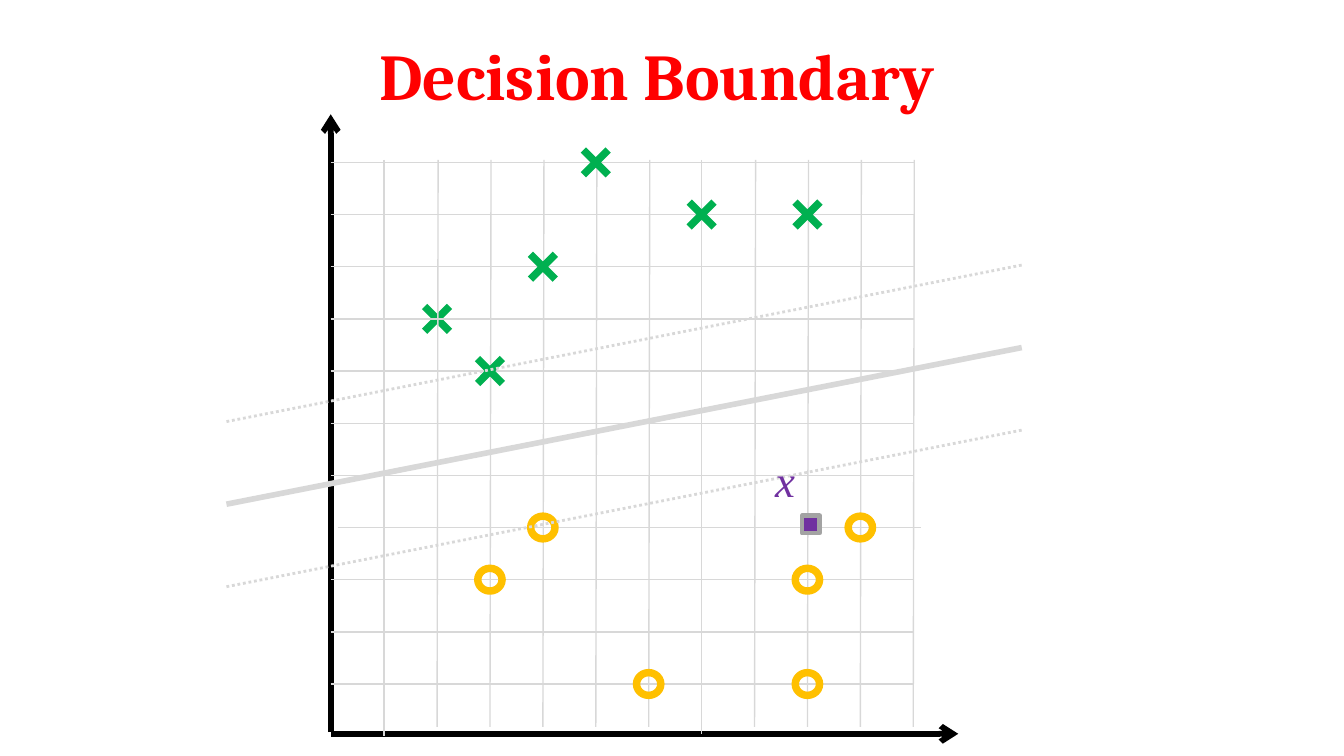
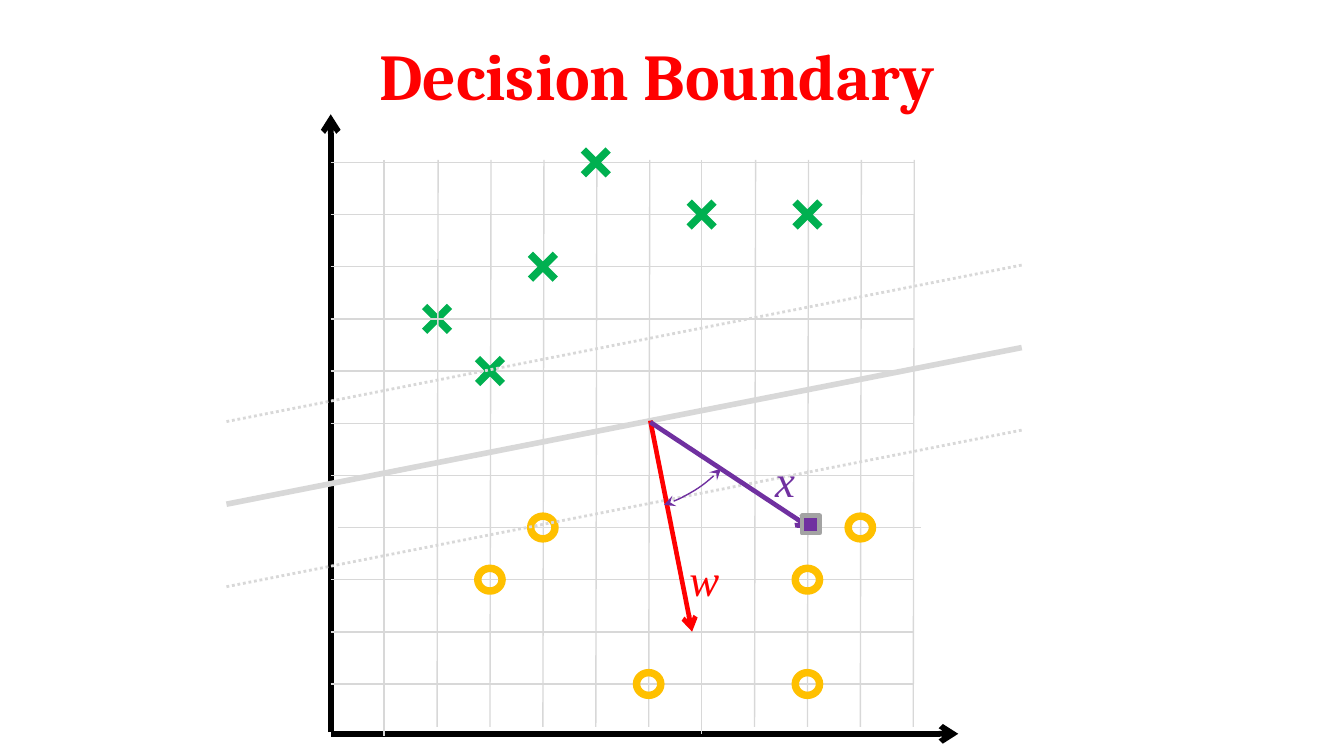
from dataclasses import dataclass

from lxml import etree
from pptx import Presentation
from pptx.dml.color import RGBColor
from pptx.enum.dml import MSO_LINE
from pptx.enum.shapes import MSO_CONNECTOR, MSO_SHAPE
from pptx.enum.text import MSO_ANCHOR, MSO_AUTO_SIZE, PP_ALIGN
from pptx.oxml.ns import qn
from pptx.util import Cm, Pt

STRAIGHT = MSO_CONNECTOR.STRAIGHT
ELLIPSE, RECTANGLE, ARC = MSO_SHAPE.OVAL, MSO_SHAPE.RECTANGLE, MSO_SHAPE.ARC
DOTTED = MSO_LINE.ROUND_DOT
MIDDLE, TOP = MSO_ANCHOR.MIDDLE, MSO_ANCHOR.TOP
GROW, FIXED = MSO_AUTO_SIZE.SHAPE_TO_FIT_TEXT, MSO_AUTO_SIZE.NONE
LEFT, CENTER = PP_ALIGN.LEFT, PP_ALIGN.CENTER


@dataclass(frozen=True)
class Theme:
    title: str = "FF0000"
    axis: str = "000000"
    guide: str = "D8D8D8"
    positive: str = "00B050"
    negative: str = "FFC000"
    sample: str = "7030A0"
    sample_edge: str = "A3A3A3"
    weight: str = "FF0000"
    title_font: str = "Cambria"
    symbol_font: str = "Times New Roman"
    title_size: float = 35
    symbol_size: float = 24
    hairline: float = 0.75
    margin_line: float = 1.5
    vector_line: float = 2.5
    heavy_line: float = 3
    marker_line: float = 4


THEME = Theme()
ORIGIN_X, FIRST_ROW_Y, TOP_ROW_Y = 6.26, 12.93, 3.07
COLUMN = 1.0
ROW = (FIRST_ROW_Y - TOP_ROW_Y) / 10
GRID_SIZE = 11
GRID_RIGHT = 17.28
GRID_BOTTOM = 13.74
LONG_COLUMNS = {1: 13.92, 7: 13.87}
SHIFTED_ROW = 4
HIDDEN_CROSS = (2, 8)
CROSSES = [(3, 7), (4, 9), (5, 11), (7, 10), (9, 10)]
CIRCLES = [(3, 3), (4, 4), (6, 1), (9, 1), (9, 3), (10, 4)]


def grid_point(column, row):
    return ORIGIN_X + column * COLUMN, FIRST_ROW_Y - (row - 1) * ROW


def style_line(line, color, width, dash=None, head=None, tail=None):
    line.color.rgb = RGBColor.from_string(color)
    line.width = Pt(width)
    if dash:
        line.dash_style = dash
    for tag, kind in (("a:headEnd", head), ("a:tailEnd", tail)):
        if kind:
            etree.SubElement(line._get_or_add_ln(), qn(tag), type=kind)


def add_line(shapes, start, end, color, width, **ends):
    connector = shapes.add_connector(STRAIGHT, *map(Cm, (*start, *end)))
    style_line(connector.line, color, width, **ends)
    etree.SubElement(connector._element.spPr, qn("a:effectLst"))


def add_outline(shapes, kind, bounds, color, width, fill=None, **ends):
    shape = shapes.add_shape(kind, *map(Cm, bounds))
    shape.shadow.inherit = False
    if fill:
        shape.fill.solid()
        shape.fill.fore_color.rgb = RGBColor.from_string(fill)
    else:
        shape.fill.background()
    style_line(shape.line, color, width, **ends)
    return shape


def add_text(shapes, text, bounds, font, size, color, bold=False, italic=False,
             align=LEFT, anchor=TOP, fit=FIXED):
    box = shapes.add_textbox(*map(Cm, bounds))
    frame = box.text_frame
    frame.word_wrap = True
    frame.auto_size = fit
    frame.vertical_anchor = anchor
    para = frame.paragraphs[0]
    para.alignment = align
    span = para.add_run()
    span.text = text
    span.font.name = font
    span.font.size = Pt(size)
    span.font.bold = bold
    span.font.italic = italic
    span.font.color.rgb = RGBColor.from_string(color)


def add_symbol(shapes, text, bounds, color):
    add_text(shapes, text, bounds, THEME.symbol_font, THEME.symbol_size, color,
             italic=True, fit=GROW)


def add_cross(shapes, column, row, reach=0.235):
    x, y = grid_point(column, row)
    strokes = shapes.add_group_shape().shapes
    for side in (-reach, reach):
        add_line(strokes, (x + side, y - reach), (x - side, y + reach),
                 THEME.positive, THEME.marker_line)


def add_circle(shapes, column, row, width=0.46, height=0.43):
    x, y = grid_point(column, row)
    add_outline(shapes, ELLIPSE, (x - width / 2, y - height / 2, width, height),
                THEME.negative, THEME.marker_line)


def add_axes(shapes):
    for start, end in (((6.25, 13.84), (6.25, 2.16)), ((6.25, 13.87), (18.11, 13.87))):
        add_line(shapes, start, end, THEME.axis, THEME.heavy_line, tail="arrow")


def add_grid(shapes):
    for row in range(1, GRID_SIZE + 1):
        y = grid_point(0, row)[1]
        shift = 0.13 if row == SHIFTED_ROW else 0
        add_line(shapes, (6.25 + shift, y), (GRID_RIGHT + shift, y),
                 THEME.guide, THEME.hairline)
    for column in range(1, GRID_SIZE + 1):
        x = grid_point(column, 0)[0]
        slant = 0 if column in LONG_COLUMNS else 0.02
        add_line(shapes, (x + slant, 3.02), (x, LONG_COLUMNS.get(column, GRID_BOTTOM)),
                 THEME.guide, THEME.hairline)


def add_boundary(shapes, offset=0, width=THEME.heavy_line, dash=None):
    add_line(shapes, (4.28, 9.53 + offset), (19.31, 6.57 + offset),
             THEME.guide, width, dash=dash)


def add_vectors(shapes):
    add_line(shapes, (12.29, 7.95), (13.08, 11.94), THEME.weight,
             THEME.vector_line, tail="arrow")
    add_symbol(shapes, "w", (12.78, 10.31, 1.02, 1.27), THEME.weight)
    add_line(shapes, (12.29, 7.98), (15.32, 9.98), THEME.sample,
             THEME.vector_line, tail="arrow")
    angle = add_outline(shapes, ARC, (8.94, 4.72, 5.36, 4.98), THEME.sample,
                        THEME.hairline, head="stealth", tail="stealth")
    angle.adjustments[0], angle.adjustments[1] = 23.63, 40.97


def add_plot(shapes, with_vectors):
    add_axes(shapes)
    add_boundary(shapes)
    add_cross(shapes, *HIDDEN_CROSS)
    add_grid(shapes)
    for point in CROSSES:
        add_cross(shapes, *point)
    for point in CIRCLES:
        add_circle(shapes, *point)
    for offset in (-1.56, 1.56):
        add_boundary(shapes, offset, THEME.margin_line, DOTTED)
    if with_vectors:
        add_vectors(shapes)
    add_outline(shapes, RECTANGLE, (15.16, 9.75, 0.33, 0.33), THEME.sample_edge,
                THEME.vector_line, fill=THEME.sample)
    add_symbol(shapes, "x", (14.4, 8.43, 1.52, 1.27), THEME.sample)


def add_page(deck, with_vectors):
    page = deck.slides.add_slide(deck.slide_layouts[6])
    shapes = page.shapes.add_group_shape().shapes if with_vectors else page.shapes
    add_plot(shapes, with_vectors)
    add_text(page.shapes, "Decision Boundary", (0.71, 0.43, 23.42, 1.96),
             THEME.title_font, THEME.title_size, THEME.title, bold=True,
             align=CENTER, anchor=MIDDLE)


def main():
    deck = Presentation()
    deck.slide_width, deck.slide_height = Cm(25.4), Cm(14.29)
    for with_vectors in (False, True):
        add_page(deck, with_vectors)
    deck.save("out.pptx")


main()
